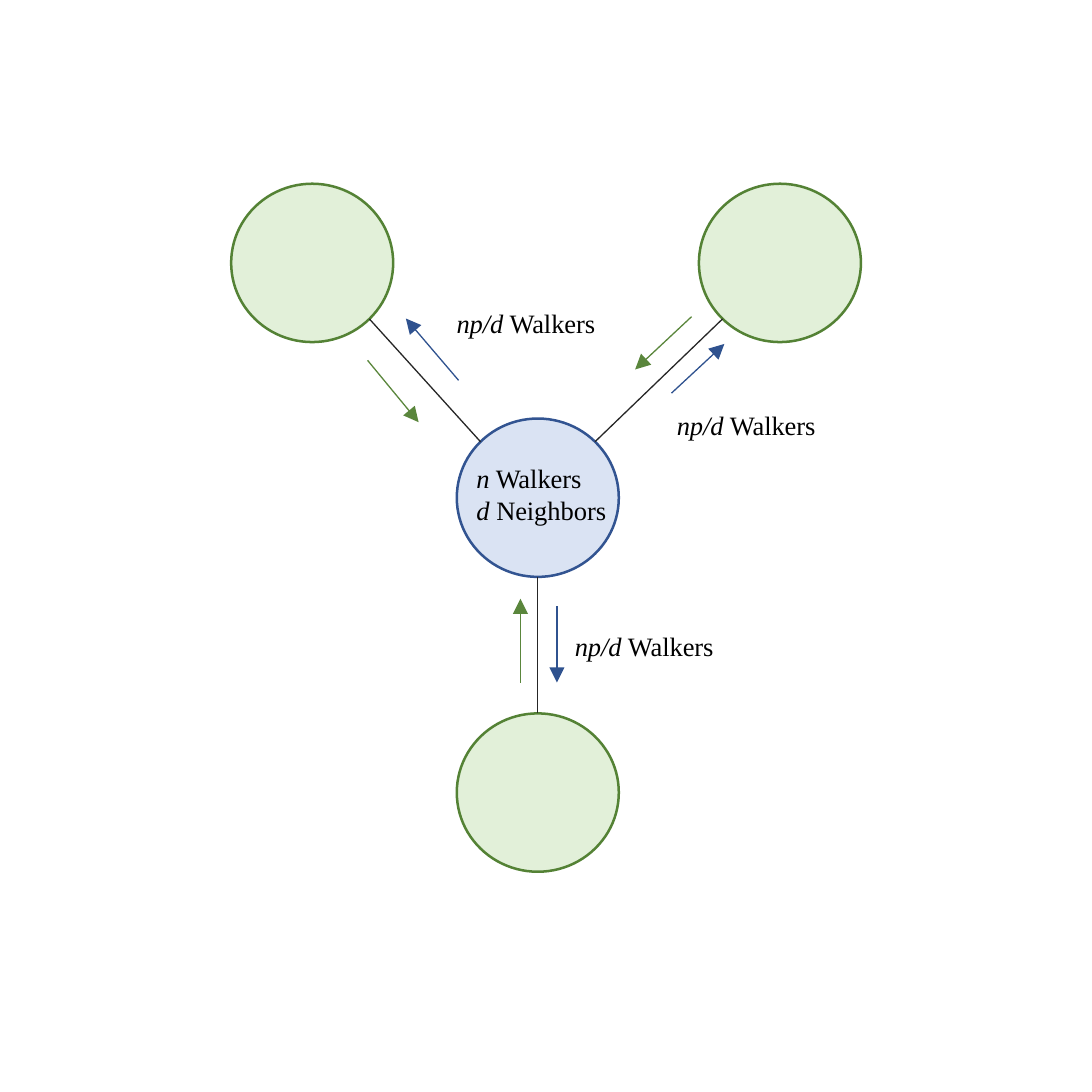
import math

import pptx
import pptx.dml.color
import pptx.enum.shapes
import pptx.enum.text
import pptx.oxml
import pptx.oxml.ns
import pptx.util

RGBColor = pptx.dml.color.RGBColor
HUB_FILL = RGBColor(0xDA, 0xE3, 0xF3)
HUB_LINE = RGBColor(0x32, 0x54, 0x91)
NODE_FILL = RGBColor(0xE2, 0xF0, 0xD9)
NODE_LINE = RGBColor(0x54, 0x82, 0x35)
EDGE = RGBColor(0x26, 0x26, 0x26)
OUTGOING = RGBColor(0x2F, 0x52, 0x8F)
INCOMING = RGBColor(0x5A, 0x86, 0x3C)
BLACK = RGBColor(0, 0, 0)

# The slide is a square grid of 60 columns and 60 rows
SIDE = pptx.util.Inches(6)
CELLS = 60
CIRCLE_W, CIRCLE_H = 8.9, 8.7
DIAGONAL = math.sqrt(0.5)

TEXT_FORMAT = {"name": "Times New Roman", "size": pptx.util.Pt(10.5)}
FRAME_FORMAT = {"word_wrap": False,
                "auto_size": pptx.enum.text.MSO_AUTO_SIZE.SHAPE_TO_FIT_TEXT}

# Circle positions: left column, top row
HUB = (25.1, 23)
NEIGHBORS = {"left": (12.7, 10.1), "right": (38.4, 10.1), "bottom": (25.1, 39.2)}

# Direction from the hub to each neighbor, as shares of the radii
DIRECTIONS = {"left": (-DIAGONAL, -DIAGONAL),
              "right": (DIAGONAL, -DIAGONAL),
              "bottom": (0, 1)}

# Arrows: colour, start, end
ARROWS = [
    (OUTGOING, (25.2, 20.9), (22.3, 17.5)),
    (OUTGOING, (36.9, 21.6), (39.8, 18.9)),
    (OUTGOING, (30.6, 33.3), (30.6, 37.5)),
    (INCOMING, (20.2, 19.8), (23, 23.2)),
    (INCOMING, (38, 17.4), (34.9, 20.3)),
    (INCOMING, (28.6, 37.5), (28.6, 32.9)),
]

# Each text line is an italic symbol and an upright word
HUB_LINES = [("n", " Walkers"), ("d", " Neighbors")]
FLOW_LINES = [("np/d", " Walkers")]
FLOW_PLACES = [(24.1, 16.4), (36.2, 22), (30.6, 34.1)]


def grid(*cells):
    return [round(SIDE * c / CELLS) for c in cells]


def rim(corner, direction):
    """Point on a circle's outline in the given direction."""
    (left, top), (dx, dy) = corner, direction
    return (left + CIRCLE_W / 2 * (1 + dx), top + CIRCLE_H / 2 * (1 + dy))


def set_format(target, values):
    for name, value in values.items():
        setattr(target, name, value)


def add_circle(s, corner, fill, line):
    sp = s.shapes.add_shape(pptx.enum.shapes.MSO_SHAPE.OVAL,
                            *grid(*corner, CIRCLE_W, CIRCLE_H))
    sp.shadow.inherit = False
    sp.fill.solid()
    sp.fill.fore_color.rgb = fill
    sp.line.color.rgb = line
    sp.line.width = pptx.util.Pt(1)
    return sp


def add_line(s, start, end, color, arrow=False):
    cxn = s.shapes.add_connector(pptx.enum.shapes.MSO_CONNECTOR.STRAIGHT,
                                 *grid(*start, *end))
    cxn.line.color.rgb = color
    cxn.line.width = pptx.util.Pt(0.5)
    sp_pr = cxn.line._get_or_add_ln().getparent()
    if arrow:
        tail = pptx.oxml.parse_xml(
            f'<a:tailEnd {pptx.oxml.ns.nsdecls("a")} type="triangle"/>')
        cxn.line._get_or_add_ln().append(tail)
    sp_pr.append(pptx.oxml.parse_xml(
        f'<a:effectLst {pptx.oxml.ns.nsdecls("a")}/>'))


def add_text(s, box, lines):
    tf = s.shapes.add_textbox(*grid(*box)).text_frame
    set_format(tf, FRAME_FORMAT)
    for i, (symbol, word) in enumerate(lines):
        p = tf.add_paragraph() if i else tf.paragraphs[0]
        for text, italic in ((symbol, True), (word, False)):
            r = p.add_run()
            r.text = text
            set_format(r.font, {**TEXT_FORMAT, "italic": italic})
            r.font.color.rgb = BLACK


def main():
    prs = pptx.Presentation()
    set_format(prs, {"slide_width": SIDE, "slide_height": SIDE})
    s = prs.slides.add_slide(prs.slide_layouts[6])

    # Hub and its neighbors, joined rim to rim
    add_circle(s, HUB, HUB_FILL, HUB_LINE)
    for side, corner in NEIGHBORS.items():
        add_circle(s, corner, NODE_FILL, NODE_LINE)
        dx, dy = DIRECTIONS[side]
        add_line(s, rim(HUB, (dx, dy)), rim(corner, (-dx, -dy)), EDGE)

    # Walkers moving each way
    for color, start, end in ARROWS:
        add_line(s, start, end, color, arrow=True)

    # Labels
    add_text(s, (25.2, 24.9, 9.3, 4.5), HUB_LINES)
    for place in FLOW_PLACES:
        add_text(s, (*place, 9.8, 2.8), FLOW_LINES)

    prs.save("out.pptx")


if __name__ == "__main__":
    main()
